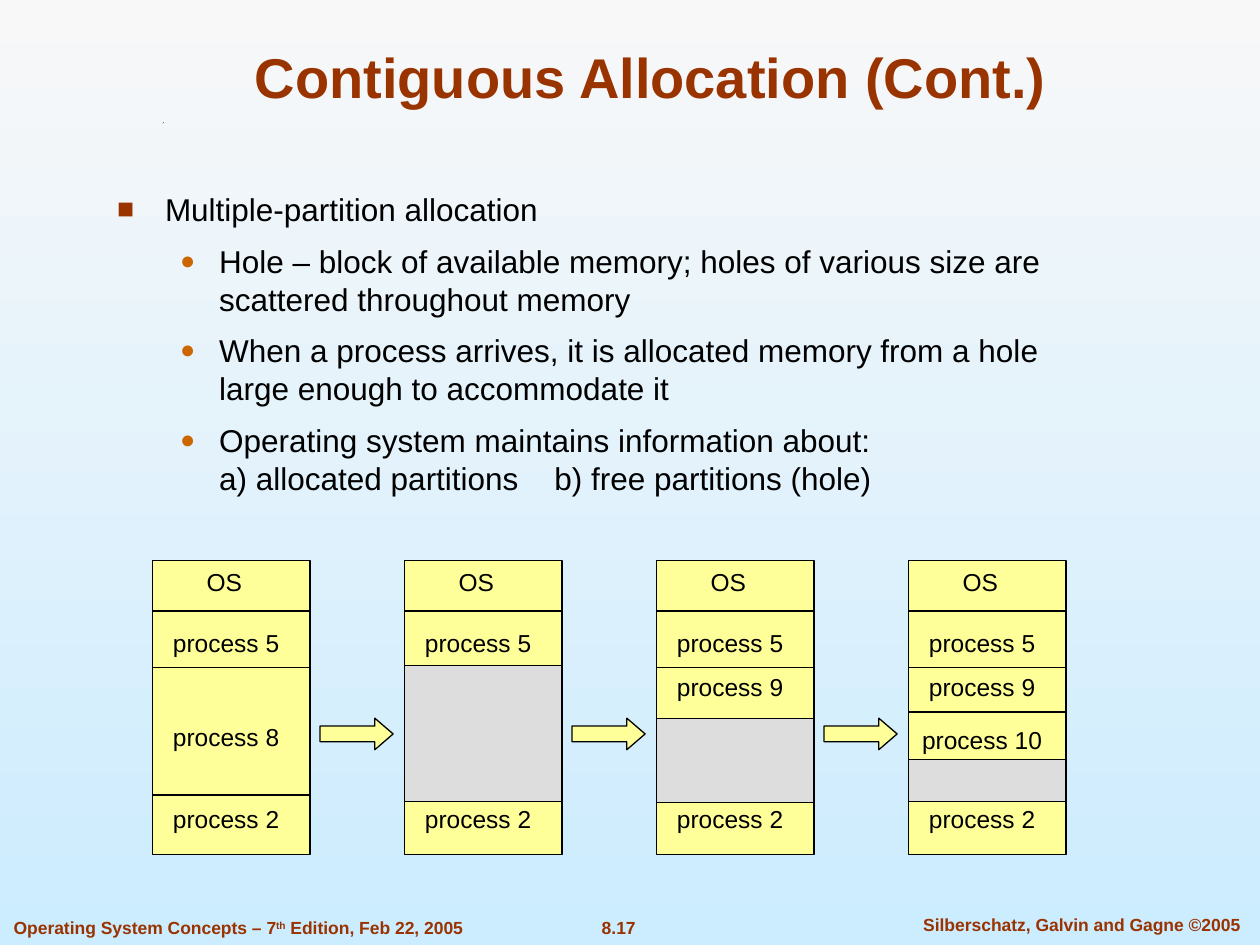
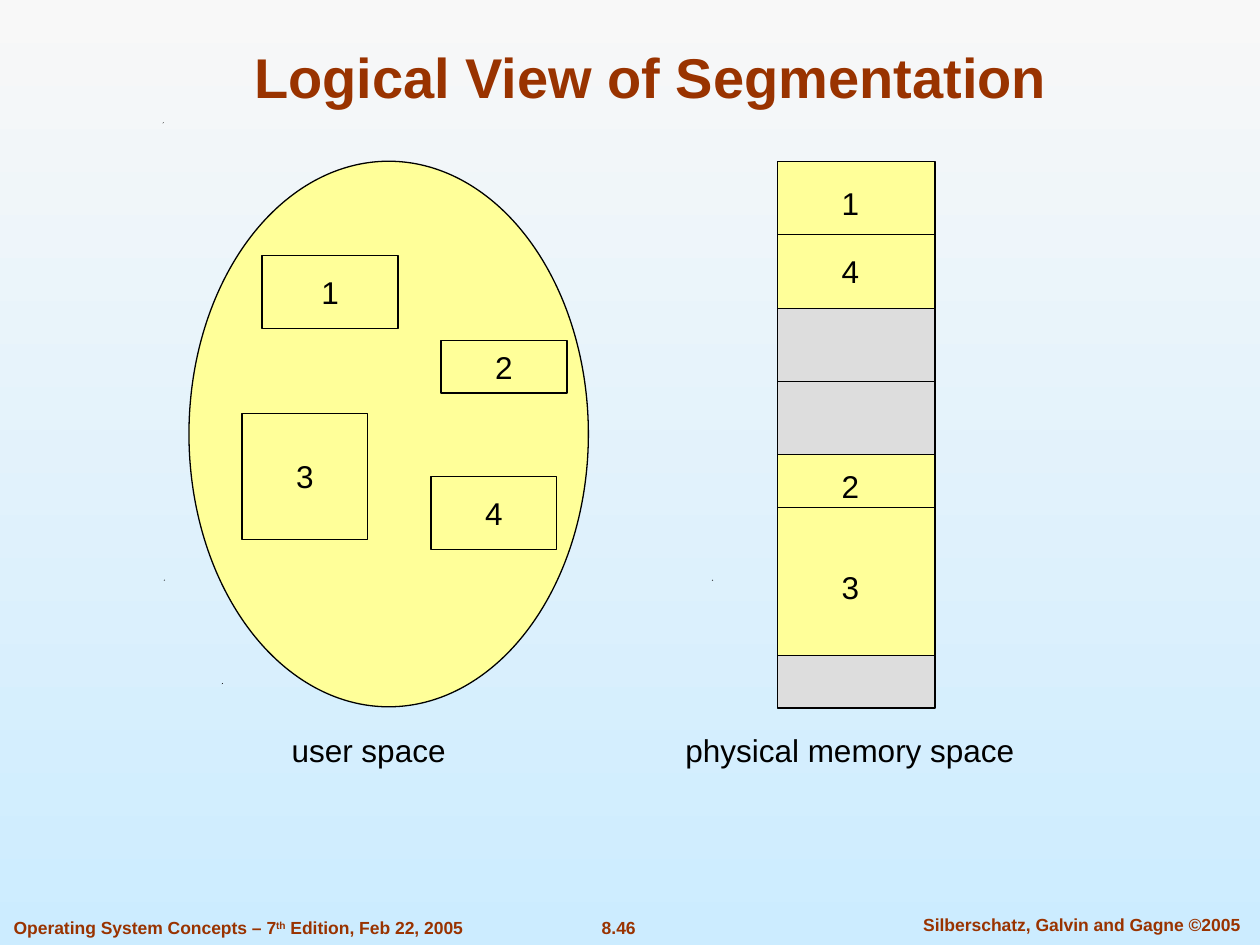
from lxml import etree
from pptx import Presentation
from pptx import util as u
from pptx.dml.color import RGBColor
from pptx.enum import shapes, text
from pptx.oxml import ns

RUST = RGBColor(0x99, 0x33, 0x00)
ORANGE = RGBColor(0xCC, 0x66, 0x00)
BLACK = RGBColor(0x00, 0x00, 0x00)
YELLOW = RGBColor(0xFF, 0xFF, 0x99)
GREY = RGBColor(0xDD, 0xDD, 0xDD)
SKY_TOP = RGBColor(0xF8, 0xF8, 0xF8)
SKY_BOTTOM = RGBColor(0xCC, 0xEC, 0xFF)
FONT = "Arial"
COLUMN_WIDTH = 1.25

CENTER = text.PP_ALIGN.CENTER
MIDDLE = text.MSO_ANCHOR.MIDDLE
SHAPE = shapes.MSO_SHAPE


def inches(*lengths):
    return [u.Inches(length) for length in lengths]


def write(para, words, size=18, color=BLACK, bold=False, align=None, raised=False):
    """Append words to a paragraph; a line feed becomes a line break."""
    for number, line in enumerate(words.split("\n")):
        if number:
            para.add_line_break()
        span = para.add_run()
        span.text = line
        span.font.name, span.font.size = FONT, u.Pt(size)
        span.font.bold, span.font.color.rgb = bold, color
        if raised:
            span.font._element.set("baseline", "30000")
    if align is not None:
        para.alignment = align


def add_properties(para, *elements):
    """Append (tag, attributes) elements to the paragraph properties."""
    for tag, attributes in elements:
        etree.SubElement(para._p.get_or_add_pPr(), ns.qn(tag), attributes)


def set_bullet(para, char, color, percent, left, hanging):
    properties = para._p.get_or_add_pPr()
    properties.set("marL", str(u.Inches(left)))
    properties.set("indent", str(-u.Inches(hanging)))
    add_properties(para, ("a:buClr", {}), ("a:buSzPct", {"val": str(percent * 1000)}),
                   ("a:buFont", {"typeface": FONT}), ("a:buChar", {"char": char}))
    etree.SubElement(properties.find(ns.qn("a:buClr")), ns.qn("a:srgbClr"), val=str(color))


def set_tab(para, position):
    add_properties(para, ("a:tabLst", {}))
    etree.SubElement(para._p.pPr.find(ns.qn("a:tabLst")), ns.qn("a:tab"),
                     pos=str(u.Inches(position)), algn="l")


class LectureDeck:
    def __init__(self):
        self.deck = Presentation()
        self.deck.slide_width, self.deck.slide_height = inches(10, 7.5)
        fill = self.deck.slide_master.background.fill
        fill.gradient()
        fill.gradient_angle = 270
        for stop, color, position in zip(fill.gradient_stops, (SKY_TOP, SKY_BOTTOM), (0, 1)):
            stop.color.rgb, stop.position = color, position

    def new_page(self, layout, title, number):
        self.page = self.deck.slides.add_slide(self.deck.slide_layouts[layout])
        self.target = self.page.shapes
        self.footer(number)
        self.speck(1.29, 0.97)
        box = self.page.shapes.title
        self.place(box, 0.75, 0.25, 8.83, 0.67)
        box.text_frame.vertical_anchor = text.MSO_ANCHOR.BOTTOM
        write(box.text_frame.paragraphs[0], title, 32, RUST, True, CENTER)

    def place(self, box, *bounds):
        box.left, box.top, box.width, box.height = inches(*bounds)
        box.text_frame.auto_size = text.MSO_AUTO_SIZE.NONE

    def footer(self, number):
        style = dict(size=10, color=RUST, bold=True)
        self.label(number, 4.42, 7.23, 0.98, 0.27, **style)
        self.label("Silberschatz, Galvin and Gagne ©2005", 7.1, 7.2, 2.97, 0.27, **style)
        book = self.label("Operating System Concepts – 7", 0.01, 7.23, 4.2, 0.27,
                          align=text.PP_ALIGN.LEFT, **style)
        para = book.text_frame.paragraphs[0]
        write(para, "th", raised=True, **style)
        write(para, " Edition, Feb 22, 2005", **style)

    def speck(self, left, top):
        x, y, size = inches(left, top, 0.01)
        outline = self.target.build_freeform(x, y + size)
        outline.add_line_segments([(x + size // 2, y), (x + size, y + size // 2)])
        dot = outline.convert_to_shape()
        dot.shadow.inherit = False
        dot.fill.solid()
        dot.fill.fore_color.rgb = BLACK
        dot.line.fill.background()

    def label(self, words, left, top, width, height=0.34, **style):
        box = self.target.add_textbox(*inches(left, top, width, height))
        box.text_frame.word_wrap = False
        box.text_frame.vertical_anchor = MIDDLE
        write(box.text_frame.paragraphs[0], words, **{"align": CENTER, **style})
        return box

    def shape(self, kind, left, top, width, height, color=YELLOW, words=None):
        box = self.target.add_shape(kind, *inches(left, top, width, height))
        box.shadow.inherit = False
        box.fill.solid()
        box.fill.fore_color.rgb = color
        box.line.color.rgb, box.line.width = BLACK, u.Pt(0.75)
        if words:
            box.text_frame.word_wrap = False
            box.text_frame.vertical_anchor = MIDDLE
            write(box.text_frame.paragraphs[0], words, align=CENTER)
        return box

    def divider(self, left, top):
        """Draw a line across a memory column."""
        line = self.target.add_connector(
            shapes.MSO_CONNECTOR.STRAIGHT, *inches(left, top, left + COLUMN_WIDTH, top))
        line.line.color.rgb, line.line.width = BLACK, u.Pt(0.75)
        etree.SubElement(line._element.spPr, ns.qn("a:effectLst"))

    def bullets(self, items, *bounds):
        box = self.page.placeholders[1]
        self.place(box, *bounds)
        frame = box.text_frame
        for number, (level, words) in enumerate(items):
            para = frame.add_paragraph() if number else frame.paragraphs[0]
            para.level = level
            if level:
                set_bullet(para, "●", ORANGE, 80, 0.81, 0.31)
            else:
                set_bullet(para, "■", RUST, 90, 0.38, 0.38)
            if "\t" in words:
                set_tab(para, 3.47)
            para.space_before = u.Pt(7.9 if number else 0)
            write(para, words)


def contiguous_allocation(lecture):
    lecture.new_page(1, "Contiguous Allocation (Cont.)", "8.17")
    lecture.bullets([
        (0, "Multiple-partition allocation"),
        (1, "Hole – block of available memory; holes of various size are "
            "scattered throughout memory"),
        (1, "When a process arrives, it is allocated memory from a hole "
            "large enough to accommodate it"),
        (1, "Operating system maintains information about:\n"
            "a) allocated partitions\tb) free partitions (hole)"),
    ], 0.83, 1.46, 8.04, 2.85)

    # Each stage: dividers below the OS, hole (top, height), extra processes
    stages = [
        ([5.3, 6.31], None, {"process 8": 5.68}),
        ([], (5.28, 1.08), {}),
        ([5.3], (5.7, 0.67), {"process 9": 5.28}),
        ([5.3, 5.65], (6.03, 0.33), {"process 9": 5.28, "process 10": 5.7}),
    ]
    for number, (dividers, hole, extra) in enumerate(stages):
        left = 1.21 + 2 * number
        lecture.shape(SHAPE.RECTANGLE, left, 4.45, COLUMN_WIDTH, 2.33)
        for top in [4.85, *dividers]:
            lecture.divider(left, top)
        if hole:
            lecture.shape(SHAPE.RECTANGLE, left, hole[0], COLUMN_WIDTH, hole[1], GREY)
        lecture.label("OS", left + 0.33, 4.45, 0.48, size=14)
        for process, top in {"process 5": 4.93, **extra, "process 2": 6.33}.items():
            lecture.label(process, left, top, 1.17, size=14)
        if number:
            arrow = lecture.shape(SHAPE.RIGHT_ARROW, left - 0.67, 5.7, 0.58, 0.25)
            arrow.adjustments[1] = 0.58


def segmentation(lecture):
    lecture.new_page(5, "Logical View of Segmentation", "8.46")
    for left, top in [(1.76, 5.42), (1.3, 4.6), (5.65, 4.6)]:
        lecture.speck(left, top)

    lecture.shape(SHAPE.OVAL, 1.5, 1.28, 3.17, 4.33)
    segments = {"1": (2.08, 2.03, 1.08, 0.58), "3": (1.92, 3.28, 1, 1),
                "2": (3.5, 2.7, 1, 0.42), "4": (3.42, 3.78, 1, 0.58)}
    for name, bounds in segments.items():
        lecture.shape(SHAPE.RECTANGLE, *bounds, words=name)

    left = 6.17
    lecture.target = lecture.page.shapes.add_group_shape().shapes
    for top, height, color in [(1.28, 1.17, YELLOW), (2.45, 1.16, GREY),
                               (3.61, 1.59, YELLOW), (5.2, 0.42, GREY)]:
        lecture.shape(SHAPE.RECTANGLE, left, top, COLUMN_WIDTH, height, color)
    for top in (1.86, 3.03, 4.03):
        lecture.divider(left, top)
    for name, top in {"1": 1.41, "4": 1.95, "2": 3.66, "3": 4.46}.items():
        lecture.label(name, left + 0.41, top, 0.34, 0.4)

    lecture.target = lecture.page.shapes
    lecture.label("user space", 2.18, 5.75, 1.49, 0.4)
    lecture.label("physical memory space", 5.34, 5.75, 2.81, 0.4)


def main():
    lecture = LectureDeck()
    contiguous_allocation(lecture)
    segmentation(lecture)
    lecture.deck.save("out.pptx")


if __name__ == "__main__":
    main()
